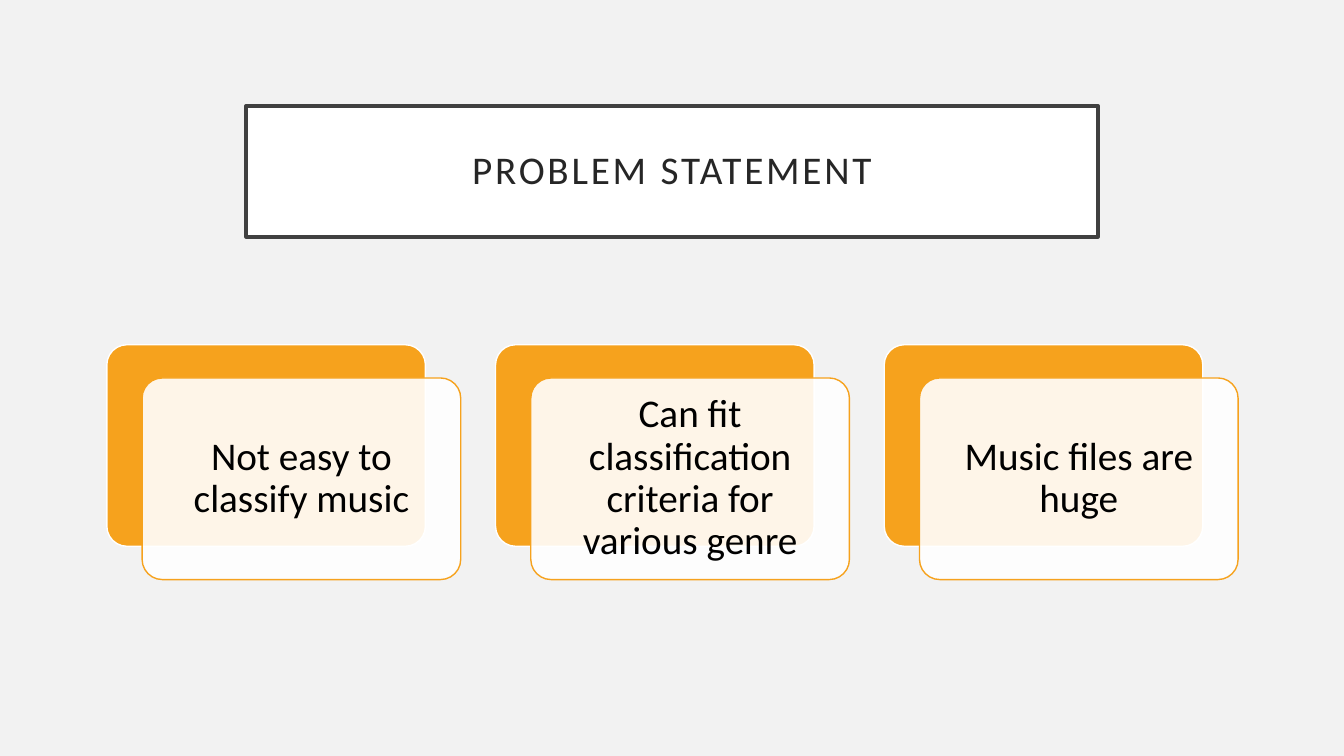
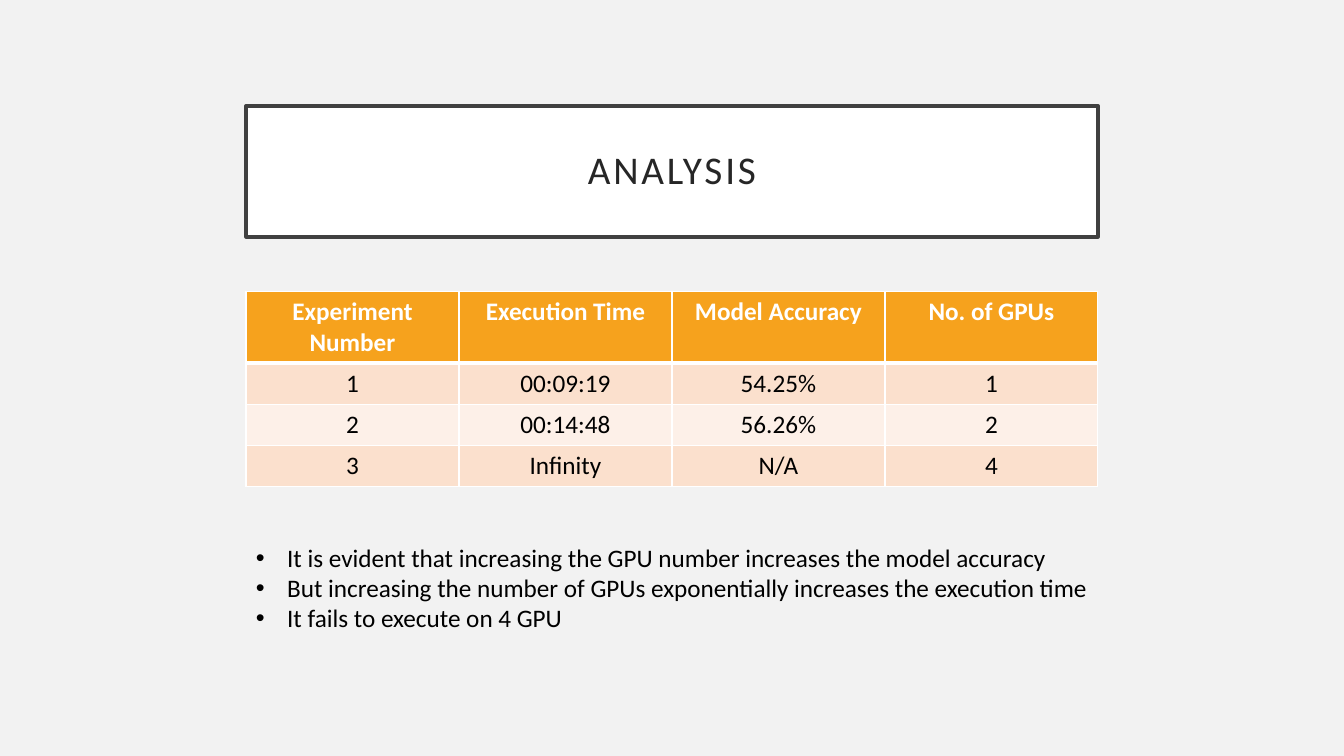
from dataclasses import dataclass

from lxml.etree import SubElement
from pptx import Presentation
from pptx.dml.color import RGBColor
from pptx.enum.shapes import MSO_SHAPE
from pptx.enum.text import MSO_ANCHOR, PP_ALIGN
from pptx.oxml.ns import qn
from pptx.util import Inches, Pt


# Colours and type sizes
@dataclass(frozen=True)
class Theme:
    font: str = "Calibri"
    background: str = "F2F2F2"
    white: str = "FFFFFF"
    black: str = "000000"
    accent: str = "F6A21D"
    title_text: str = "262626"
    title_line: str = "404040"
    bands: tuple = ("FBE0CD", "FDF0E8")
    large: int = 28
    body: int = 18


THEME = Theme()
CONTENT_LEFT, CONTENT_WIDTH = 2.44, 8.45

PROBLEMS = [
    "Not easy to classify music",
    "Can fit classification criteria for various genre",
    "Music files are huge",
]
RESULTS = [
    ["Experiment Number", "Execution Time", "Model Accuracy", "No. of GPUs"],
    ["1", "00:09:19", "54.25%", "1"],
    ["2", "00:14:48", "56.26%", "2"],
    ["3", "Infinity", "N/A", "4"],
]
FINDINGS = [
    "It is evident that increasing the GPU number increases the model accuracy",
    "But increasing the number of GPUs exponentially increases the execution time",
    "It fails to execute on 4 GPU",
]


# Shared helpers
def set_attributes(target, values):
    for name, value in values.items():
        setattr(target, name, value)


def paint(fill, color):
    fill.solid()
    fill.fore_color.rgb = RGBColor.from_string(color)


def style_font(font, size, color, bold=False):
    set_attributes(font, {"name": THEME.font, "size": Pt(size), "bold": bold})
    font.color.rgb = RGBColor.from_string(color)


def add_box(slide, kind, box, fill, line, line_width):
    shape = slide.shapes.add_shape(kind, *map(Inches, box))
    shape.shadow.inherit = False
    paint(shape.fill, fill)
    paint(shape.line.fill, line)
    shape.line.width = Pt(line_width)
    return shape


def write_centred(shape, text, color, inset):
    frame = shape.text_frame
    sides = ("left", "top", "right", "bottom")
    set_attributes(frame, {f"margin_{side}": Inches(inset) for side in sides})
    set_attributes(frame, {"word_wrap": True, "vertical_anchor": MSO_ANCHOR.MIDDLE})
    paragraph = frame.paragraphs[0]
    set_attributes(paragraph, {"alignment": PP_ALIGN.CENTER, "line_spacing": 0.9})
    run = paragraph.add_run()
    run.text = text
    style_font(run.font, THEME.large, color)
    return run


def add_titled_slide(presentation, title):
    slide = presentation.slides.add_slide(presentation.slide_layouts[6])
    paint(slide.background.fill, THEME.background)
    shape = add_box(slide, MSO_SHAPE.RECTANGLE, (CONTENT_LEFT, 1.05, CONTENT_WIDTH, 1.3),
                    THEME.white, THEME.title_line, 2.5)
    run = write_centred(shape, title, THEME.title_text, 0.2)
    run.font._element.set("spc", "200")
    return slide


# Offset pair of rounded cards, text on the front one
def add_card(slide, left, text):
    top, width, height = 3.42, 3.16, 2
    back = add_box(slide, MSO_SHAPE.ROUNDED_RECTANGLE, (left, top, width, height),
                   THEME.accent, THEME.white, 1)
    front = add_box(slide, MSO_SHAPE.ROUNDED_RECTANGLE,
                    (left + 0.35, top + 0.33, width, height), THEME.white, THEME.accent, 1)
    for card in (back, front):
        card.adjustments[0] = 0.1
    color = front.fill._xPr.find(qn("a:solidFill")).find(qn("a:srgbClr"))
    SubElement(color, qn("a:alpha"), val="90000")
    write_centred(front, text, THEME.black, 0.12)


# Table with white rules
def set_borders(cell, widths):
    properties = cell._tc.get_or_add_tcPr()
    for side, width in widths.items():
        line = SubElement(properties, qn(f"a:ln{side}"), w=str(Pt(width)))
        SubElement(SubElement(line, qn("a:solidFill")), qn("a:srgbClr"), val=THEME.white)


def add_results_table(slide, rows):
    header_height, row_height = 0.71, 0.41
    height = header_height + row_height * (len(rows) - 1)
    box = (CONTENT_LEFT, 2.89, CONTENT_WIDTH, height)
    table = slide.shapes.add_table(len(rows), len(rows[0]), *map(Inches, box)).table
    set_attributes(table, {"first_row": False, "horz_banding": False})
    for row_index, values in enumerate(rows):
        header = row_index == 0
        table.rows[row_index].height = Inches(header_height if header else row_height)
        fill = THEME.accent if header else THEME.bands[(row_index - 1) % 2]
        borders = {"L": 1, "R": 1, "T": 3 if row_index == 1 else 1, "B": 3 if header else 1}
        for column_index, value in enumerate(values):
            cell = table.cell(row_index, column_index)
            set_borders(cell, borders)
            paint(cell.fill, fill)
            cell.text = value
            paragraph = cell.text_frame.paragraphs[0]
            paragraph.alignment = PP_ALIGN.CENTER
            style_font(paragraph.runs[0].font, THEME.body,
                       THEME.white if header else THEME.black, header)


# Bulleted text
def add_bullets(slide, box, lines):
    frame = slide.shapes.add_textbox(*map(Inches, box)).text_frame
    frame.word_wrap = True
    for index, text in enumerate(lines):
        paragraph = frame.add_paragraph() if index else frame.paragraphs[0]
        properties = paragraph._p.get_or_add_pPr()
        indent = Inches(0.31)
        properties.set("marL", str(indent))
        properties.set("indent", str(-indent))
        SubElement(properties, qn("a:buFont"), typeface="Arial")
        SubElement(properties, qn("a:buChar"), char="•")
        run = paragraph.add_run()
        run.text = text
        style_font(run.font, THEME.body, THEME.black)


def main():
    presentation = Presentation()
    set_attributes(presentation, {"slide_width": Inches(13.33), "slide_height": Inches(7.5)})

    # Problem statement
    slide = add_titled_slide(presentation, "PROBLEM STATEMENT")
    first_left, last_left = 1.06, 8.77
    pitch = (last_left - first_left) / (len(PROBLEMS) - 1)
    for index, problem in enumerate(PROBLEMS):
        add_card(slide, first_left + index * pitch, problem)

    # Analysis
    slide = add_titled_slide(presentation, "ANALYSIS")
    add_results_table(slide, RESULTS)
    add_bullets(slide, (CONTENT_LEFT, 5.33, 8.56, 1.31), FINDINGS)

    presentation.save("out.pptx")


if __name__ == "__main__":
    main()
